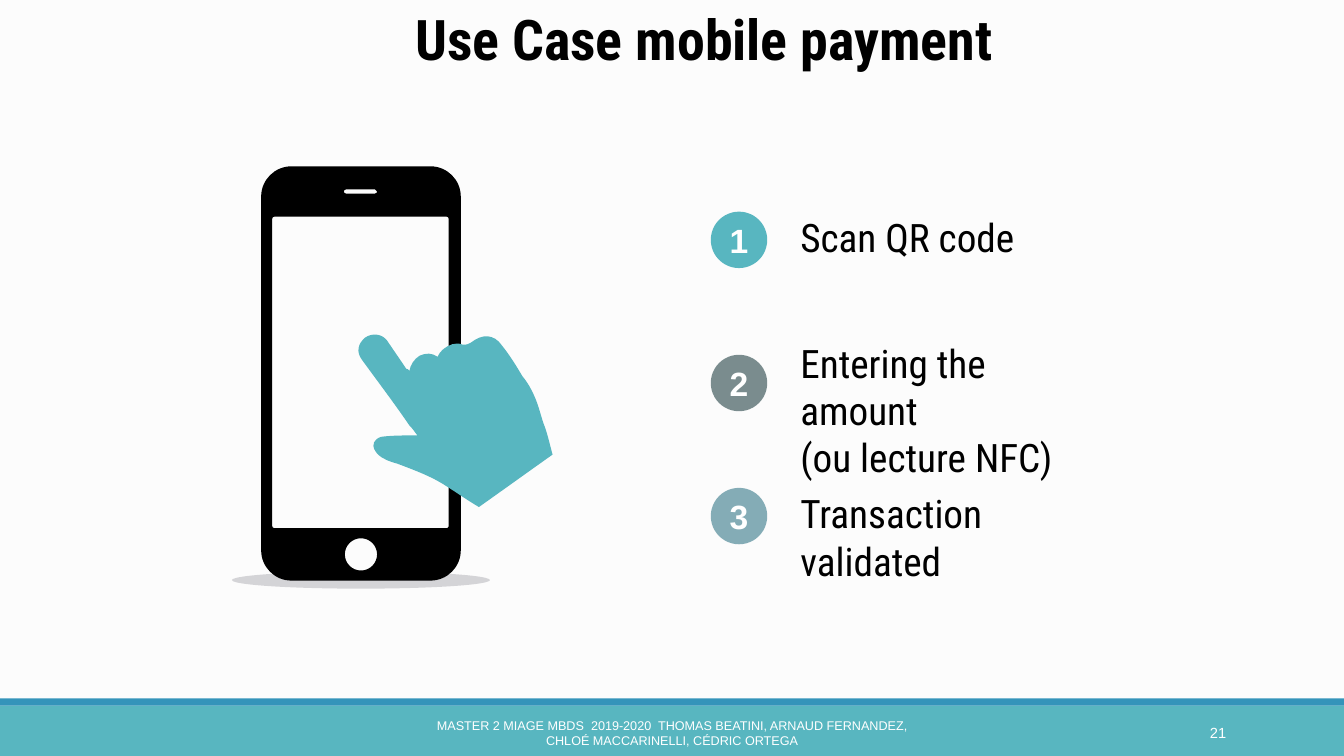
from lxml import etree
from pptx import Presentation
from pptx.dml.color import RGBColor
from pptx.enum.shapes import MSO_SHAPE
from pptx.enum.text import MSO_ANCHOR, PP_ALIGN
from pptx.oxml.ns import qn
from pptx.util import Inches, Pt

RECTANGLE = MSO_SHAPE.RECTANGLE
OVAL = MSO_SHAPE.OVAL
TOP = MSO_ANCHOR.TOP
MIDDLE = MSO_ANCHOR.MIDDLE
LEFT = PP_ALIGN.LEFT
CENTER = PP_ALIGN.CENTER
RIGHT = PP_ALIGN.RIGHT

HAND = [
    ((5.48, 4.51),),
    ((5.24, 4.68), (4.99, 4.86), (4.75, 5.03)),
    ((4.63, 4.96), (4.52, 4.88), (4.39, 4.80)),
    ((4.26, 4.72), (4.10, 4.66), (3.94, 4.60)),
    ((3.87, 4.58), (3.80, 4.56), (3.74, 4.50)),
    ((3.72, 4.47), (3.69, 4.44), (3.71, 4.39)),
    ((3.73, 4.35), (3.77, 4.33), (3.81, 4.33)),
    ((3.91, 4.32), (4.01, 4.32), (4.11, 4.32)),
    ((4.11, 4.32), (4.12, 4.32), (4.14, 4.32)),
    ((4.11, 4.28), (4.09, 4.25), (4.06, 4.22)),
    ((3.91, 4.00), (3.75, 3.79), (3.59, 3.57)),
    ((3.53, 3.49), (3.55, 3.41), (3.62, 3.35)),
    ((3.69, 3.30), (3.79, 3.31), (3.84, 3.38)),
    ((3.90, 3.47), (3.97, 3.57), (4.03, 3.66)),
    ((4.04, 3.66), (4.05, 3.66), (4.06, 3.68)),
    ((4.07, 3.62), (4.11, 3.56), (4.16, 3.53)),
    ((4.23, 3.50), (4.28, 3.50), (4.34, 3.54)),
    ((4.35, 3.51), (4.37, 3.49), (4.39, 3.47)),
    ((4.45, 3.42), (4.52, 3.39), (4.59, 3.42)),
    ((4.62, 3.42), (4.64, 3.42), (4.67, 3.40)),
    ((4.78, 3.31), (4.90, 3.31), (4.98, 3.43)),
    ((5.06, 3.53), (5.12, 3.63), (5.18, 3.73)),
    ((5.23, 3.79), (5.27, 3.86), (5.30, 3.93)),
    ((5.34, 4.02), (5.36, 4.11), (5.39, 4.20)),
    ((5.43, 4.30), (5.45, 4.40), (5.48, 4.51)),
]


def color(value):
    return RGBColor.from_string(value)


def rounded_outline(left, top, width, height, radius):
    right, bottom = left + width, top + height
    corners = [((right, top), (1, 0), (0, 1)), ((right, bottom), (0, 1), (-1, 0)),
               ((left, bottom), (-1, 0), (0, -1)), ((left, top), (0, -1), (1, 0))]
    segments = [((left + radius, top),)]
    for (x, y), (in_x, in_y), (out_x, out_y) in corners:
        start = (x - in_x * radius, y - in_y * radius)
        end = (x + out_x * radius, y + out_y * radius)
        pull = 0.45 * radius
        if max(abs(a - b) for a, b in zip(start, segments[-1][-1])) > 0.005:
            segments.append((start,))
        segments.append(((x - in_x * pull, y - in_y * pull),
                         (x + out_x * pull, y + out_y * pull), end))
    return segments


def write(frame, text, font="Roboto Condensed", size=28, ink="000000",
          bold=False, align=LEFT, anchor=TOP):
    frame.word_wrap = True
    frame.vertical_anchor = anchor
    paragraph = frame.paragraphs[0]
    paragraph.text = text
    paragraph.alignment = align
    paragraph.font.name = font
    paragraph.font.size = Pt(size)
    paragraph.font.bold = bold
    paragraph.font.color.rgb = color(ink)


class SlideBuilder:
    teal = "58B6C0"
    white = "FFFFFF"
    label_font = "Arial"

    def __init__(self, presentation):
        self.slide = presentation.slides.add_slide(presentation.slide_layouts[6])
        background = self.slide.background.fill
        background.solid()
        background.fore_color.rgb = color("FCFCFC")

    def paint(self, shape, fill):
        shape.shadow.inherit = False
        shape.fill.solid()
        shape.fill.fore_color.rgb = color(fill)
        shape.line.fill.background()
        return shape

    def shape(self, kind, left, top, width, height, fill, opacity=None):
        shape = self.slide.shapes.add_shape(
            kind, Inches(left), Inches(top), Inches(width), Inches(height))
        self.paint(shape, fill)
        if opacity is not None:
            fill_color = shape.fill._xPr.find(qn("a:solidFill"))[0]
            etree.SubElement(fill_color, qn("a:alpha"), val=str(opacity * 1000))
        return shape

    def outline(self, contours, fill):
        contours = [[[(Inches(x), Inches(y)) for x, y in segment] for segment in contour]
                    for contour in contours]
        builder = self.slide.shapes.build_freeform(*contours[0][0][-1], scale=1.0)
        for index, contour in enumerate(contours):
            if index:
                builder.move_to(*contour[0][-1])
            builder.add_line_segments([segment[-1] for segment in contour[1:]], close=False)
            builder.add_line_segments([], close=True)
        shape = self.paint(builder.convert_to_shape(), fill)
        segments = [segment for contour in contours for segment in contour[1:]]
        lines = list(shape._element.iter(qn("a:lnTo")))
        for line, segment in zip(lines, segments):
            if len(segment) == 3:
                line.tag = qn("a:cubicBezTo")
                for position, (x, y) in enumerate(segment[:2]):
                    control = etree.Element(
                        qn("a:pt"), x=str(x - shape.left), y=str(y - shape.top))
                    line.insert(position, control)

    def text(self, text, left, top, width, height, **style):
        box = self.slide.shapes.add_textbox(
            Inches(left), Inches(top), Inches(width), Inches(height))
        write(box.text_frame, text, **style)

    def label(self, text, left, width, size, align):
        self.text(text, left, 7.07, width, 0.4, font=self.label_font, size=size,
                  ink=self.white, align=align, anchor=MIDDLE)

    def badge(self, number, top, fill):
        circle = self.shape(OVAL, 7.05, top, 0.56, 0.56, fill)
        frame = circle.text_frame
        frame.margin_left = frame.margin_right = 0
        frame.margin_top = frame.margin_bottom = 0
        write(frame, str(number), font=self.label_font, size=24, ink=self.white,
              bold=True, align=CENTER, anchor=MIDDLE)


def main():
    presentation = Presentation()
    presentation.slide_width = Inches(13.33)
    presentation.slide_height = Inches(7.5)
    builder = SlideBuilder(presentation)

    builder.shape(RECTANGLE, 0, 7, 13.33, 0.5, builder.teal)
    builder.shape(RECTANGLE, 0, 6.93, 13.33, 0.07, "3494BA")
    builder.label("MASTER 2 MIAGE MBDS  2019-2020  THOMAS BEATINI, ARNAUD FERNANDEZ, "
                  "CHLOÉ MACCARINELLI, CÉDRIC ORTEGA", 4.03, 5.27, 9, CENTER)
    builder.label("21", 10.83, 1.43, 10.5, RIGHT)

    builder.shape(OVAL, 2.3, 5.67, 2.56, 0.17, "373545", opacity=20)
    body = rounded_outline(2.59, 1.65, 1.98, 4.11, 0.3)
    speaker = rounded_outline(3.41, 1.88, 0.33, 0.04, 0.02)
    button = rounded_outline(3.42, 5.34, 0.32, 0.32, 0.16)
    screen = rounded_outline(2.7, 2.15, 1.75, 3.09, 0.02)
    builder.outline([body, speaker, button, screen], "000000")
    builder.outline([HAND], builder.teal)

    steps = [
        ("Scan QR code", 2.07, 0.57, 2.1, builder.teal),
        ("Entering the amount\v(ou lecture NFC)", 3.32, 1.51, 3.52, "7A8C8E"),
        ("Transaction validated", 4.81, 1.04, 4.84, "84ACB6"),
    ]
    for number, (text, top, height, badge_top, fill) in enumerate(steps, 1):
        builder.badge(number, badge_top, fill)
        builder.text(text, 7.84, top, 3.04, height)

    builder.text("Use Case mobile payment", 1.29, 0, 11.38, 0.77,
                 size=40, bold=True, align=CENTER)
    presentation.save("out.pptx")


if __name__ == "__main__":
    main()
